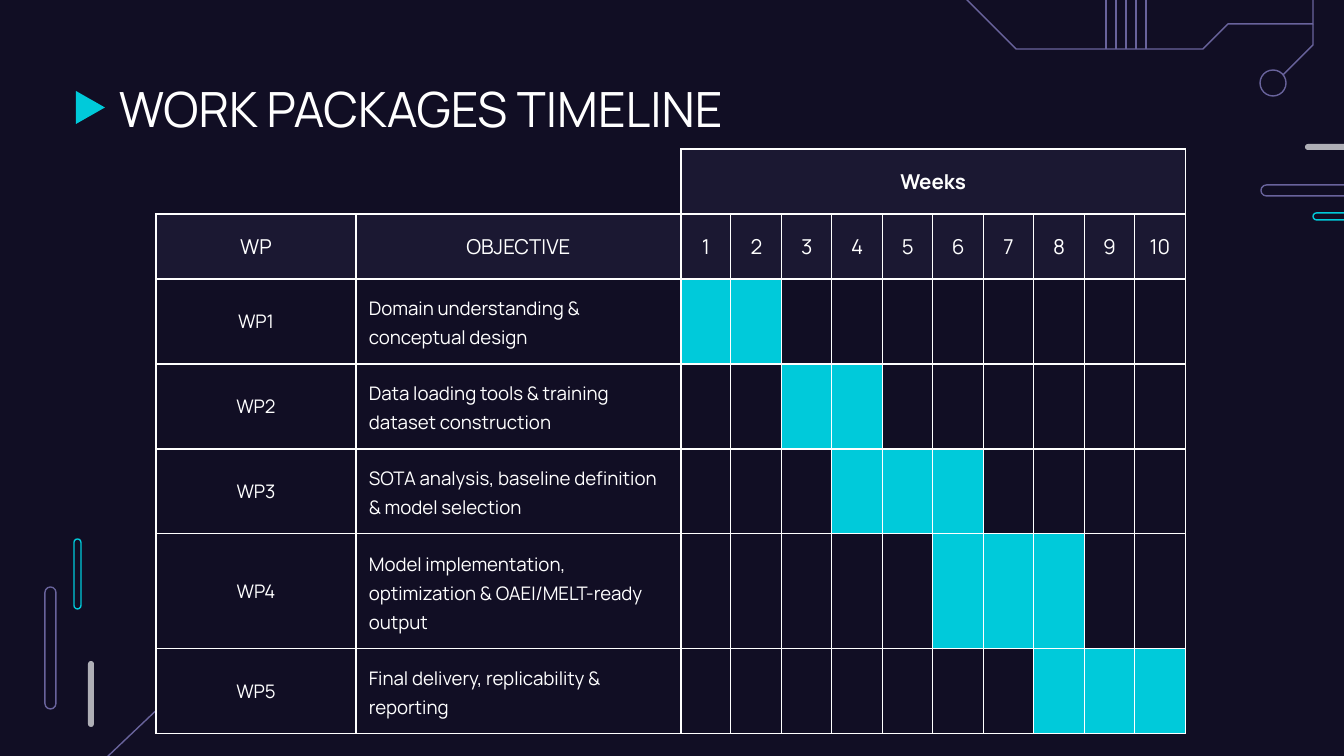
"""Builds the work packages timeline slide."""
from lxml import etree
from pptx import Presentation
from pptx.dml.color import RGBColor
from pptx.enum.shapes import MSO_CONNECTOR, MSO_SHAPE
from pptx.enum.text import MSO_ANCHOR, PP_ALIGN
from pptx.oxml.ns import qn
from pptx.util import Pt

EMU_PER_PX = 914400 / 134.4
STRAIGHT = MSO_CONNECTOR.STRAIGHT
PILL, CIRCLE = MSO_SHAPE.ROUNDED_RECTANGLE, MSO_SHAPE.OVAL
MERGE = MSO_SHAPE.FLOWCHART_MERGE
MIDDLE = MSO_ANCHOR.MIDDLE
LEFT, CENTER = PP_ALIGN.LEFT, PP_ALIGN.CENTER

NIGHT = RGBColor(0x11, 0x0E, 0x24)
VIOLET = RGBColor(0x46, 0x40, 0x6B)
LILAC = RGBColor(0x69, 0x63, 0x9C)
CYAN = RGBColor(0x00, 0xCA, 0xDA)
GREY = RGBColor(0xAF, 0xAF, 0xB6)
WHITE = RGBColor(0xFF, 0xFF, 0xFF)
FONT = "Manrope"
HAIRLINE = Pt(0.75)
INSET = 13

WEEKS = 10
WEEK_WIDTHS = [50, 51] * (WEEKS // 2)
COLUMN_WIDTHS = [200, 325] + WEEK_WIDTHS
ROW_HEIGHTS = [65, 65, 85, 85, 85, 115, 85]
PACKAGES = [
    ("Domain understanding & conceptual design", 1, 2),
    ("Data loading tools & training dataset construction", 3, 4),
    ("SOTA analysis, baseline definition & model selection", 4, 6),
    ("Model implementation, optimization & OAEI/MELT-ready output", 6, 8),
    ("Final delivery, replicability & reporting", 8, 10),
]

OUTLINED_PILLS = [
    (74, 539, 7, 70, CYAN),
    (45, 587, 11, 122, LILAC),
    (1313, 213, 70, 7, CYAN),
    (1261, 185, 122, 11, LILAC),
]
SOLID_PILLS = [(1305, 144, 65, 6), (88, 661, 6, 66)]
TRACES = [
    [(962, -5), (1016, 49), (1203, 49), (1228, 24), (1313, 24), (1313, -13)],
    [(1283, 75), (1313, 45), (1313, 24)],
]


def px(length):
    return round(length * EMU_PER_PX)


def style_shape(shape, fill=None, outline=None):
    shape.shadow.inherit = False
    if fill is None:
        shape.fill.background()
    else:
        shape.fill.solid()
        shape.fill.fore_color.rgb = fill
    if outline is None:
        shape.line.fill.background()
    else:
        shape.line.color.rgb = outline
        shape.line.width = HAIRLINE


def add_preset(slide, preset, box, fill=None, outline=None):
    shape = slide.shapes.add_shape(preset, *map(px, box))
    style_shape(shape, fill, outline)
    if preset == PILL:
        shape.adjustments[0] = 0.5
    return shape


def add_trace(slide, points):
    builder = slide.shapes.build_freeform(*points[0], scale=EMU_PER_PX)
    builder.add_line_segments(points[1:], close=False)
    style_shape(builder.convert_to_shape(), outline=LILAC)


def add_wire(slide, start, end):
    wire = slide.shapes.add_connector(STRAIGHT, *map(px, start + end))
    wire.line.color.rgb = LILAC
    wire.line.width = HAIRLINE
    etree.SubElement(wire._element.spPr, qn("a:effectLst"))


def add_circuit(slide):
    add_wire(slide, (105, 759), (163, 704))
    for x in range(1106, 1147, 10):
        add_wire(slide, (x, -175), (x, 49))
    for points in TRACES:
        add_trace(slide, points)
    add_preset(slide, CIRCLE, (1260, 70, 26, 26), outline=LILAC)
    for *box, color in OUTLINED_PILLS:
        add_preset(slide, PILL, box, outline=color)
    for box in SOLID_PILLS:
        add_preset(slide, PILL, box, fill=GREY)


def set_font(paragraph, size, bold=False):
    font = paragraph.font
    font.name, font.size, font.bold = FONT, Pt(size), bold
    font.color.rgb = WHITE


def add_title(slide, text):
    marker = add_preset(slide, MERGE, (74, 93, 33, 29), fill=CYAN)
    marker.rotation = 270
    frame = slide.shapes.add_textbox(*map(px, (106, 66, 1133, 85))).text_frame
    frame.word_wrap = True
    frame.vertical_anchor = MIDDLE
    frame.margin_left = frame.margin_right = px(INSET)
    frame.margin_top = frame.margin_bottom = px(INSET)
    frame.text = text
    set_font(frame.paragraphs[0], 26)


def style_cell(cell, fill, alpha=None, edges=None):
    properties = cell._tc.get_or_add_tcPr()
    for side in "LRTB":
        border = etree.SubElement(properties, qn(f"a:ln{side}"), w=str(HAIRLINE))
        paint = etree.SubElement(border, qn("a:solidFill"))
        color = (edges or {}).get(side, WHITE)
        etree.SubElement(paint, qn("a:srgbClr"), val=str(color))
    cell.fill.solid()
    cell.fill.fore_color.rgb = fill
    if alpha is not None:
        color = properties.find(qn("a:solidFill")).find(qn("a:srgbClr"))
        etree.SubElement(color, qn("a:alpha"), val=str(alpha * 1000))


def write_cell(cell, text, size, align=CENTER, inset=0, bold=False, spacing=None):
    cell.text = text
    cell.vertical_anchor = MIDDLE
    cell.margin_left = cell.margin_right = px(inset)
    cell.margin_top = cell.margin_bottom = px(inset)
    paragraph = cell.text_frame.paragraphs[0]
    paragraph.alignment = align
    if spacing:
        paragraph.line_spacing = spacing
    set_font(paragraph, size, bold)


def fill_header(table):
    for column in range(2):
        style_cell(table.cell(0, column), NIGHT, edges={"L": NIGHT, "T": NIGHT})
    for column in range(2, WEEKS + 2):
        style_cell(table.cell(0, column), VIOLET, alpha=20)
    table.cell(0, 0).merge(table.cell(0, 1))
    table.cell(0, 2).merge(table.cell(0, WEEKS + 1))
    write_cell(table.cell(0, 2), "Weeks", 11, bold=True)
    headings = ["WP", "OBJECTIVE"] + [str(week + 1) for week in range(WEEKS)]
    for column, heading in enumerate(headings):
        style_cell(table.cell(1, column), VIOLET, alpha=20)
        write_cell(table.cell(1, column), heading, 11)


def fill_package(table, number, objective, first, last):
    row = number + 1
    for column in range(WEEKS + 2):
        active = first <= column - 1 <= last and column > 1
        style_cell(table.cell(row, column), CYAN if active else NIGHT)
    write_cell(table.cell(row, 0), f"WP{number}", 10, inset=INSET)
    write_cell(table.cell(row, 1), objective, 10, LEFT, INSET, spacing=1.15)


def add_timeline(slide):
    box = (156, 149, sum(COLUMN_WIDTHS), sum(ROW_HEIGHTS))
    table = slide.shapes.add_table(
        len(ROW_HEIGHTS), len(COLUMN_WIDTHS), *map(px, box)).table
    table.first_row = table.horz_banding = False
    for column, width in zip(table.columns, COLUMN_WIDTHS):
        column.width = px(width)
    for row, height in zip(table.rows, ROW_HEIGHTS):
        row.height = px(height)
    fill_header(table)
    for number, package in enumerate(PACKAGES, 1):
        fill_package(table, number, *package)


def main():
    deck = Presentation()
    deck.slide_width, deck.slide_height = px(1344), px(756)
    slide = deck.slides.add_slide(deck.slide_layouts[6])
    slide.background.fill.solid()
    slide.background.fill.fore_color.rgb = NIGHT
    add_circuit(slide)
    add_title(slide, "WORK PACKAGES TIMELINE")
    add_timeline(slide)
    deck.save("out.pptx")


if __name__ == "__main__":
    main()
